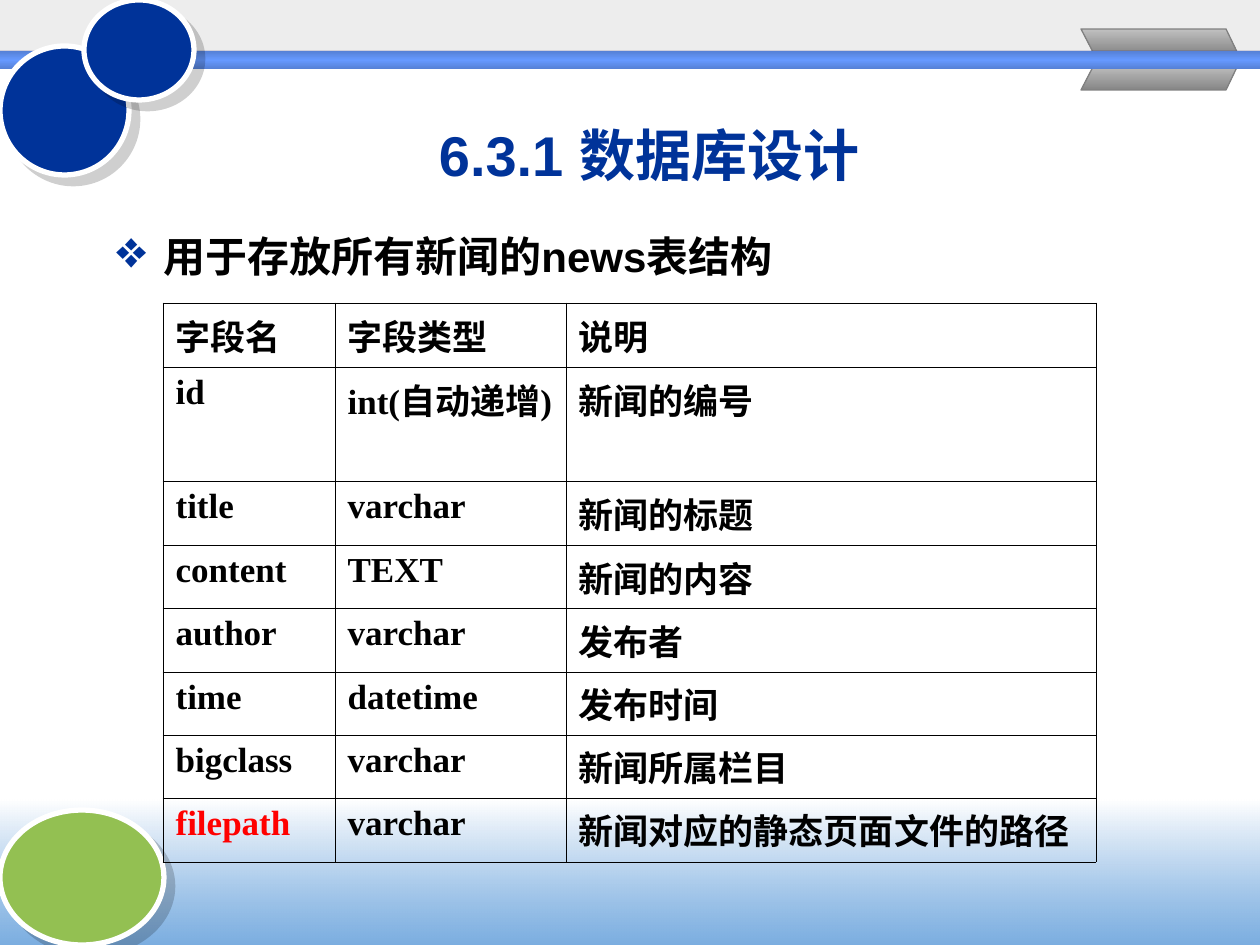
from lxml.etree import SubElement
from pptx import Presentation
from pptx.dml.color import RGBColor
from pptx.enum.shapes import MSO_SHAPE
from pptx.enum.text import MSO_ANCHOR, PP_ALIGN
from pptx.oxml import parse_xml
from pptx.oxml.ns import nsdecls, qn
from pptx.util import Pt

EMU_PER_PX = 914400 / 126
COLORS = {
    "black": "000000",
    "white": "FFFFFF",
    "red": "FF0000",
    "navy": "003399",
    "dark_navy": "000066",
    "green": "93C052",
    "header": "EAEAEA",
    "sky": "5E9CDA",
    "band_edge": "5580D5",
    "band_middle": "6699FF",
    "silver": "C0C0C0",
    "gray": "868686",
    "outline": "808080",
}
FIELDS = [
    ("字段名", "字段类型", "说明"),
    ("id", "int(自动递增)", "新闻的编号"),
    ("title", "varchar", "新闻的标题"),
    ("content", "TEXT", "新闻的内容"),
    ("author", "varchar", "发布者"),
    ("time", "datetime", "发布时间"),
    ("bigclass", "varchar", "新闻所属栏目"),
    ("filepath", "varchar", "新闻对应的静态页面文件的路径"),
]
COLUMN_WIDTHS = (172, 231, 530)
ROW_HEIGHTS = (64, 114, 64, 63, 64, 63, 63, 64)


def px(value):
    return round(value * EMU_PER_PX)


def rgb(name):
    return RGBColor.from_string(COLORS[name])


def color_element(parent, name, alpha=100):
    color = SubElement(parent, qn("a:srgbClr"), val=COLORS[name])
    if alpha < 100:
        SubElement(color, qn("a:alpha"), val=str(alpha * 1000))


def set_gradient(shape, stops):
    shape.fill.gradient()
    shape.fill.gradient_angle = 270
    stop_list = shape.element.spPr.find(qn("a:gradFill")).find(qn("a:gsLst"))
    for stop in list(stop_list):
        stop_list.remove(stop)
    for position, name, alpha in stops:
        stop = SubElement(stop_list, qn("a:gs"), pos=str(position * 1000))
        color_element(stop, name, alpha)


def set_solid(shape, name, alpha=100):
    shape.fill.solid()
    shape.fill.fore_color.rgb = rgb(name)
    if alpha < 100:
        color = shape.element.spPr.find(qn("a:solidFill"))[0]
        SubElement(color, qn("a:alpha"), val=str(alpha * 1000))


def add_preset(slide, kind, box):
    shape = slide.shapes.add_shape(kind, *map(px, box))
    shape.shadow.inherit = False
    shape.line.fill.background()
    return shape


def add_backdrop(slide, box):
    left, top, width, height = box
    header = add_preset(slide, MSO_SHAPE.RECTANGLE, (left, top, width, 66))
    set_solid(header, "header", 81)
    footer = add_preset(slide, MSO_SHAPE.RECTANGLE, (left, top + height - 145, width, 145))
    set_gradient(footer, [(0, "white", 100), (100, "sky", 81)])


def add_ribbon(slide, box):
    left, top, width, height = box
    for outer, inner in ((top, top + 25), (top + height, top + height - 25)):
        points = [(left + width - 12, outer), (left + width, inner), (left + 13, inner), (left, outer)]
        builder = slide.shapes.build_freeform(*points[0], scale=EMU_PER_PX)
        builder.add_line_segments(points[1:], close=True)
        shape = builder.convert_to_shape()
        shape.shadow.inherit = False
        set_gradient(shape, [(0, "silver", 100), (100, "gray", 100)])
        shape.line.color.rgb = rgb("outline")
        shape.line.width = Pt(0.75)


def add_band(slide, box):
    edge = add_preset(slide, MSO_SHAPE.RECTANGLE, box)
    set_solid(edge, "dark_navy")
    band = add_preset(slide, MSO_SHAPE.RECTANGLE, box)
    set_gradient(band, [(0, "band_edge", 100), (50, "band_middle", 100), (100, "band_edge", 100)])


def add_disc(slide, box, color, rotation=0):
    disc = add_preset(slide, MSO_SHAPE.OVAL, box)
    disc.rotation = rotation
    set_solid(disc, color)
    disc.line.color.rgb = rgb("white")
    disc.line.width = Pt(3)
    effects = disc.element.spPr.find(qn("a:effectLst"))
    shadow = SubElement(effects, qn("a:outerShdw"), dist=str(Pt(7.1)), dir="2700000",
                        algn="ctr", rotWithShape="0")
    color_element(shadow, "black", 19)


def format_runs(paragraph, font_name, size, color):
    for run in paragraph.runs:
        run.font.name = font_name
        run.font.size = Pt(size)
        run.font.bold = True
        run.font.color.rgb = rgb(color)


def set_hanging_indent(paragraph):
    properties = paragraph._p.get_or_add_pPr()
    properties.set("marL", str(px(47)))
    properties.set("indent", str(px(-47)))
    return properties


def add_text(slide, box, text, size, color):
    text_frame = slide.shapes.add_textbox(*map(px, box)).text_frame
    text_frame.word_wrap = True
    text_frame.text = text
    paragraph = text_frame.paragraphs[0]
    format_runs(paragraph, "Arial", size, color)
    return text_frame, paragraph


def add_title(slide, box):
    text_frame, paragraph = add_text(slide, box, "6.3.1 数据库设计 ", 32, "navy")
    text_frame.vertical_anchor = MSO_ANCHOR.MIDDLE
    paragraph.alignment = PP_ALIGN.CENTER


def add_body(slide, box):
    text_frame, paragraph = add_text(slide, box, "用于存放所有新闻的news表结构", 24, "black")
    paragraph.space_before = Pt(6)
    properties = set_hanging_indent(paragraph)
    color_element(SubElement(properties, qn("a:buClr")), "navy")
    SubElement(properties, qn("a:buSzPct"), val="125000")
    SubElement(properties, qn("a:buChar"), char="❖")


def set_borders(cell):
    properties = cell._tc.get_or_add_tcPr()
    for index, side in enumerate(("lnL", "lnR", "lnT", "lnB")):
        border = parse_xml(f'<a:{side} {nsdecls("a")} w="{Pt(0.45)}"/>')
        color_element(SubElement(border, qn("a:solidFill")), "black")
        properties.insert(index, border)


def add_field_table(slide, box):
    frame = slide.shapes.add_table(len(FIELDS), len(FIELDS[0]), *map(px, box))
    table = frame.table
    table.first_row = False
    table.horz_banding = False
    for column, width in zip(table.columns, COLUMN_WIDTHS):
        column.width = px(width)
    for row, height, texts in zip(table.rows, ROW_HEIGHTS, FIELDS):
        row.height = px(height)
        for cell, text in zip(row.cells, texts):
            cell.text = text
            cell.fill.background()
            set_borders(cell)
            paragraph = cell.text_frame.paragraphs[0]
            set_hanging_indent(paragraph)
            format_runs(paragraph, "Times New Roman", 20, "red" if text == "filepath" else "black")


def build_slide(presentation):
    slide = presentation.slides.add_slide(presentation.slide_layouts[6])
    add_backdrop(slide, (0, 0, 1260, 945))
    add_ribbon(slide, (1081, 29, 157, 61))
    add_disc(slide, (0, 810, 164, 135), "green")
    add_band(slide, (0, 51, 1260, 18))
    add_disc(slide, (0, 46, 129, 129), "navy", 26.8)
    add_disc(slide, (84, 0, 110, 100), "navy")
    add_title(slide, (174, 106, 963, 97))
    add_body(slide, (104, 224, 1062, 674))
    add_field_table(slide, (163, 303, sum(COLUMN_WIDTHS), sum(ROW_HEIGHTS)))


def main():
    presentation = Presentation()
    presentation.slide_width = px(1260)
    presentation.slide_height = px(945)
    build_slide(presentation)
    presentation.save("out.pptx")


if __name__ == "__main__":
    main()
